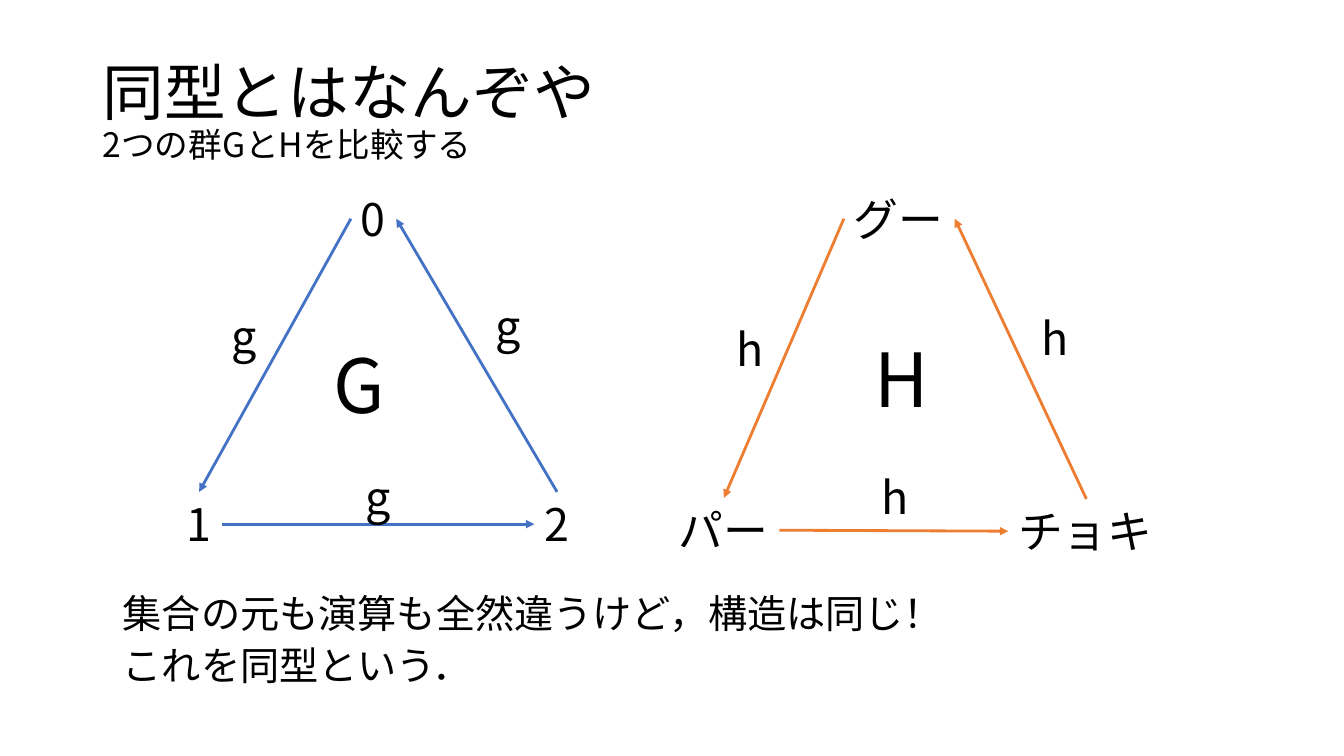
from lxml.etree import SubElement
from pptx import Presentation
from pptx.dml.color import RGBColor
from pptx.enum.shapes import MSO_CONNECTOR
from pptx.enum.text import MSO_ANCHOR, MSO_AUTO_SIZE
from pptx.oxml.ns import qn
from pptx.util import Pt

PX = 9144  # EMU per px, 100 px to the inch
FONT = "Noto Sans CJK JP"
COLORS = {"text": "000000", "G": "4472C4", "H": "ED7D31"}
TOP, LEFT, RIGHT = 0, 1, 3  # connection sites of a box

# Nodes run from the apex to bottom left to bottom right; edges follow them.
GROUPS = [
    {
        "name": ("G", (321, 331, 75, 100)),
        "nodes": [("0", (348, 185, 45, 64)), ("1", (175, 488, 45, 64)),
                  ("2", (530, 488, 45, 64))],
        "operation": "g",
        "labels": [(220, 301, 45, 64), (353, 461, 45, 64), (482, 291, 45, 64)],
    },
    {
        "name": ("H", (858, 325, 76, 100)),
        "nodes": [("グー", (837, 185, 110, 64)), ("パー", (663, 494, 110, 64)),
                  ("チョキ", (1000, 495, 155, 64))],
        "operation": "h",
        "labels": [(721, 314, 46, 64), (864, 461, 46, 64), (1023, 303, 46, 64)],
    },
]


def style_paragraph(p, size):
    """Set size, colour and both the Latin and East Asian typeface."""
    p.font.size = Pt(size)
    p.font.color.rgb = RGBColor.from_string(COLORS["text"])
    p.font.name = FONT
    defaults = p._p.pPr.find(qn("a:defRPr"))
    SubElement(defaults, qn("a:ea")).set("typeface", FONT)


def add_box(slide, box):
    return slide.shapes.add_textbox(*(v * PX for v in box))


def add_label(slide, text, box, size=32):
    sp = add_box(slide, box)
    tf = sp.text_frame
    tf.word_wrap = False
    tf.auto_size = MSO_AUTO_SIZE.SHAPE_TO_FIT_TEXT
    p = tf.paragraphs[0]
    p.text = text
    style_paragraph(p, size)
    return sp


def add_title(slide, title, subtitle):
    tf = add_box(slide, (92, 40, 1150, 145)).text_frame
    tf.word_wrap = True
    tf.vertical_anchor = MSO_ANCHOR.MIDDLE
    p = tf.paragraphs[0]
    p.line_spacing = 0.9
    style_paragraph(p, 44)
    p.add_run().text = title
    p.add_line_break()
    r = p.add_run()
    r.text = subtitle
    r.font.size = Pt(24)


def add_body(slide, lines):
    tf = add_box(slide, (92, 589, 1150, 105)).text_frame
    tf.word_wrap = True
    for i, line in enumerate(lines):
        p = tf.add_paragraph() if i else tf.paragraphs[0]
        p.text = line
        p.line_spacing = 0.8
        p.space_before = Pt(10)
        style_paragraph(p, 28)
        p._p.pPr.set("marL", str(20 * PX))


def add_arrow(slide, start, start_site, end, end_site, color):
    cxn = slide.shapes.add_connector(MSO_CONNECTOR.STRAIGHT, 0, 0, 0, 0)
    cxn.begin_connect(start, start_site)
    cxn.end_connect(end, end_site)
    cxn.line.width = Pt(2)
    cxn.line.color.rgb = RGBColor.from_string(color)
    SubElement(cxn.line._get_or_add_ln(), qn("a:tailEnd")).set("type", "triangle")
    SubElement(cxn._element.spPr, qn("a:effectLst"))


def add_group_diagram(slide, group):
    """Draw a cyclic group as a triangle of elements joined by its operation."""
    name, name_box = group["name"]
    apex, left, right = [add_label(slide, *node) for node in group["nodes"]]
    for edge in [(apex, LEFT, left, TOP), (left, RIGHT, right, LEFT),
                 (right, TOP, apex, RIGHT)]:
        add_arrow(slide, *edge, COLORS[name])
    for box in group["labels"]:
        add_label(slide, group["operation"], box)
    add_label(slide, name, name_box, 53.3)


def main():
    prs = Presentation()
    prs.slide_width, prs.slide_height = 1333 * PX, 750 * PX
    slide = prs.slides.add_slide(prs.slide_layouts[6])
    add_title(slide, "同型とはなんぞや", "2つの群GとHを比較する")
    add_body(slide, ["集合の元も演算も全然違うけど，構造は同じ！", "これを同型という．"])
    for group in GROUPS:
        add_group_diagram(slide, group)
    prs.save("out.pptx")


if __name__ == "__main__":
    main()
